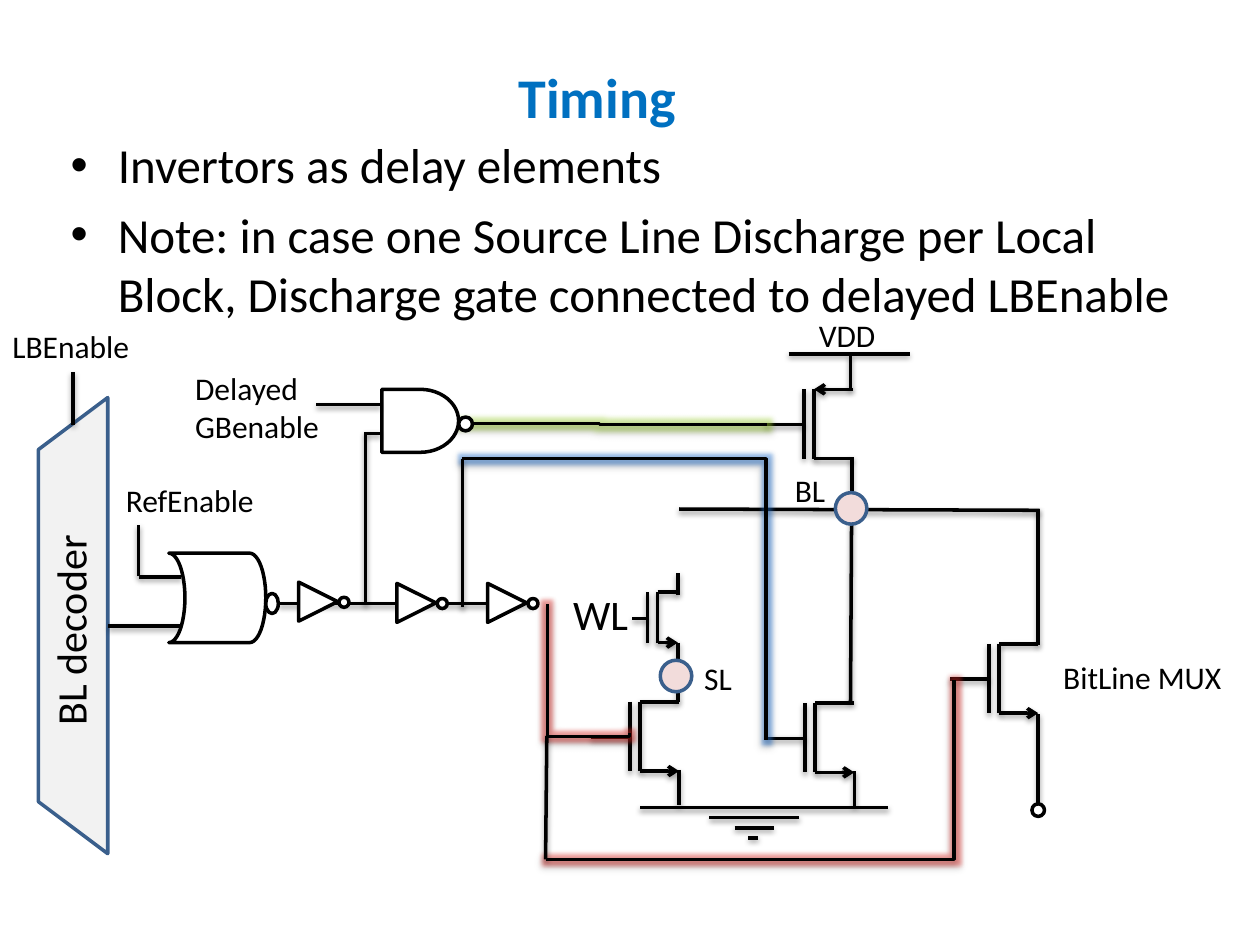
"""Build the Timing slide with its delay-chain circuit."""
from dataclasses import dataclass
from lxml import etree
from pptx import Presentation
from pptx.dml.color import RGBColor
from pptx.enum.shapes import MSO_CONNECTOR, MSO_SHAPE
from pptx.enum.text import MSO_ANCHOR, MSO_AUTO_SIZE, PP_ALIGN
from pptx.oxml.ns import qn
from pptx.util import Emu, Pt

LINE, ELBOW = MSO_CONNECTOR.STRAIGHT, MSO_CONNECTOR.ELBOW
OVAL, WEDGE = MSO_SHAPE.OVAL, MSO_SHAPE.TRAPEZOID
NODE, TIP = MSO_SHAPE.FLOWCHART_CONNECTOR, MSO_SHAPE.ISOSCELES_TRIANGLE
NOR, NAND = MSO_SHAPE.FLOWCHART_STORED_DATA, MSO_SHAPE.FLOWCHART_DELAY
TOP, MIDDLE = MSO_ANCHOR.TOP, MSO_ANCHOR.MIDDLE
LEFT, CENTER = PP_ALIGN.LEFT, PP_ALIGN.CENTER
FIT = MSO_AUTO_SIZE.SHAPE_TO_FIT_TEXT
SCALE = 9144


@dataclass(frozen=True)
class Theme:
    font: str = "Calibri"
    ink: str = "000000"
    paper: str = "FFFFFF"
    title: str = "0070C0"
    edge: str = "3A5F8C"
    dot: str = "F2DCDB"
    block: str = "F2F2F2"
    green: str = "9BBB59"
    blue: str = "4F81BD"
    red: str = "C0504D"
    head: int = 32
    body: int = 28
    large: int = 24
    small: int = 18
    gap: int = 6
    stroke: int = 2


def px(*sizes):
    return [Emu(size * SCALE) for size in sizes]


def rgb(code):
    return RGBColor.from_string(code)


def tint(node, code, alpha):
    clr = etree.SubElement(node, qn("a:srgbClr"), val=code)
    etree.SubElement(clr, qn("a:alpha"), val=str(alpha * 1000))
    return clr


class Board:
    def __init__(self, slide, theme):
        self.slide, self.theme = slide, theme

    def style(self, para, size, color=None, bold=False, align=LEFT):
        font = para.font
        font.name, font.size, font.bold = self.theme.font, Pt(size), bold
        font.color.rgb = rgb(color or self.theme.ink)
        para.alignment = align

    def place(self, item, box):
        item.left, item.top, item.width, item.height = px(*box)

    def title(self, text, box):
        item = self.slide.shapes.title
        self.place(item, box)
        frame = item.text_frame
        frame.text, frame.vertical_anchor = text, MIDDLE
        self.style(frame.paragraphs[0], self.theme.head, self.theme.title, True, CENTER)

    def bullets(self, rows, box):
        item = self.slide.placeholders[1]
        self.place(item, box)
        frame = item.text_frame
        frame.text, frame.vertical_anchor = "\n".join(rows), TOP
        for index, para in enumerate(frame.paragraphs):
            self.style(para, self.theme.body)
            para.space_before = Pt(self.theme.gap if index else 0)

    def label(self, text, box, size=None, turn=0):
        item = self.slide.shapes.add_textbox(*px(*box))
        item.rotation = turn
        frame = item.text_frame
        frame.word_wrap, frame.auto_size = bool(turn), FIT
        para = frame.paragraphs[0]
        para.text = text
        self.style(para, size or self.theme.small)

    def shape(self, kind, box, fill=None, edge=None, turn=0, flip=False, into=None):
        item = (into or self.slide).shapes.add_shape(kind, *px(*box))
        item.shadow.inherit = False
        item.rotation = turn
        item.fill.solid()
        item.fill.fore_color.rgb = rgb(fill or self.theme.paper)
        item.line.color.rgb = rgb(edge or self.theme.ink)
        item.line.width = Pt(self.theme.stroke)
        if flip:
            item._element.spPr.find(qn("a:xfrm")).set("flipH", "1")
        return item

    def dot(self, x, y):
        self.shape(OVAL, (x, y, 25, 25), self.theme.dot, self.theme.edge)

    def gate(self, kind, box, node, turn=0, flip=False):
        group = self.slide.shapes.add_group_shape()
        self.shape(kind, box, turn=turn, flip=flip, into=group)
        self.shape(NODE, node, flip=flip, into=group)

    def wire(self, *ends, kind=LINE, arrow=False, glow=None):
        item = self.slide.shapes.add_connector(kind, *px(*ends))
        item.line.width = Pt(self.theme.stroke)
        item.line.color.rgb = rgb(self.theme.ink)
        props = item._element.spPr
        if arrow:
            etree.SubElement(props.get_or_add_ln(), qn("a:tailEnd"), type="arrow")
        effects = etree.SubElement(props, qn("a:effectLst"))
        if glow:
            halo = etree.SubElement(effects, qn("a:glow"), rad="63500")
            clr = tint(halo, glow, 40)
            etree.SubElement(clr, qn("a:satMod"), val="175000")
        shade = etree.SubElement(effects, qn("a:outerShdw"), blurRad="39370",
                                 dist="20320", dir="5400000", rotWithShape="0")
        tint(shade, self.theme.ink, 38)
        return item

    def bend(self, *ends, glow, ratio=0.5, turn=0):
        props = self.wire(*ends, kind=ELBOW, glow=glow)._element.spPr
        props.find(qn("a:xfrm")).set("rot", str(turn * 60000))
        guides = next(props.iter(qn("a:avLst")))
        etree.SubElement(guides, qn("a:gd"), name="adj1", fmla=f"val {ratio * 100000:.0f}")

    def fet(self, x, y, wide=31, high=55, lead=31, pull=False):
        low, mid, bar = y + high, y + high // 2 + 1, x - 8
        self.wire(x, y, x, low)
        if pull:
            self.wire(x + wide, y, x, y, arrow=True)
            self.wire(x, low, x + wide, low)
        else:
            self.wire(x, low, x + wide, low, arrow=True)
            self.wire(x, y, x + wide, y)
        self.wire(bar, y, bar, low)
        self.wire(bar - lead, mid, bar, mid)


def main():
    deck = Presentation()
    deck.slide_width, deck.slide_height = px(1000, 750)
    theme = Theme()
    board = Board(deck.slides.add_slide(deck.slide_layouts[1]), theme)
    board.bullets(["Invertors as delay elements",
                   "Note: in case one Source Line Discharge per Local Block, "
                   "Discharge gate connected to delayed LBEnable"], (46, 102, 918, 495))
    board.title("Timing", (177, 44, 594, 64))
    board.wire(221, 479, 423, 479)

    board.fet(522, 470, wide=16, high=40, lead=12)
    board.fet(508, 557)
    board.fet(647, 558)
    board.fet(646, 309, pull=True)
    board.fet(793, 511)
    for ends in [(538, 472, 538, 455), (538, 510, 538, 557), (539, 611, 539, 639),
                 (678, 612, 678, 640), (676, 363, 676, 391), (675, 282, 675, 309),
                 (676, 391, 675, 557), (539, 404, 825, 405), (626, 281, 722, 281),
                 (824, 404, 824, 512), (824, 567, 824, 639)]:
        board.wire(*ends)
    for left, right, y in [(508, 705, 641), (563, 634, 649), (583, 614, 657), (594, 602, 665)]:
        board.wire(left, y, right, y)
    board.dot(524, 524)
    board.dot(663, 391)
    board.shape(OVAL, (819, 638, 10, 10))

    coder = board.shape(WEDGE, (-123, 469, 362, 55), theme.block, theme.edge, 270)
    coder.adjustments[0] = 0.75
    board.label("BL decoder", (-86, 419, 283, 50), theme.large, 270)
    board.wire(86, 497, 145, 497)
    for x, y in [(237, 462), (315, 463), (387, 463)]:
        board.gate(TIP, (x, y, 31, 31), (x + 32, y + 12, 8, 8), turn=90)

    board.bend(343, 336, 609, 337, glow=theme.green)
    board.bend(518, 498, 416, 563, glow=theme.red, ratio=1.03, turn=270)
    board.bend(433, 682, 757, 540, glow=theme.red, ratio=1)
    board.wire(433, 682, 434, 584)
    board.bend(367, 364, 608, 587, glow=theme.blue, ratio=0, turn=180)
    board.wire(367, 364, 367, 482)
    board.wire(58, 337, 58, 295)

    board.gate(NOR, (134, 439, 77, 71), (211, 471, 10, 16), flip=True)
    board.wire(144, 458, 110, 458)
    board.wire(110, 457, 110, 417)
    board.gate(NAND, (303, 309, 61, 50), (364, 331, 11, 11))
    board.wire(290, 480, 290, 343)
    board.wire(290, 344, 302, 344)
    board.wire(302, 321, 251, 321)

    board.label("WL", (445, 462, 64, 50), theme.large)
    for text, box in [("SL", (549, 518, 42, 40)), ("BL", (621, 369, 45, 40)),
                      ("VDD", (640, 246, 66, 40)), ("LBEnable", (0, 255, 114, 40)),
                      ("BitLine MUX", (834, 517, 147, 40)),
                      ("RefEnable", (90, 377, 123, 40)),
                      ("Delayed\nGBenable", (145, 288, 120, 71))]:
        board.label(text, box)
    deck.save("out.pptx")


if __name__ == "__main__":
    main()
